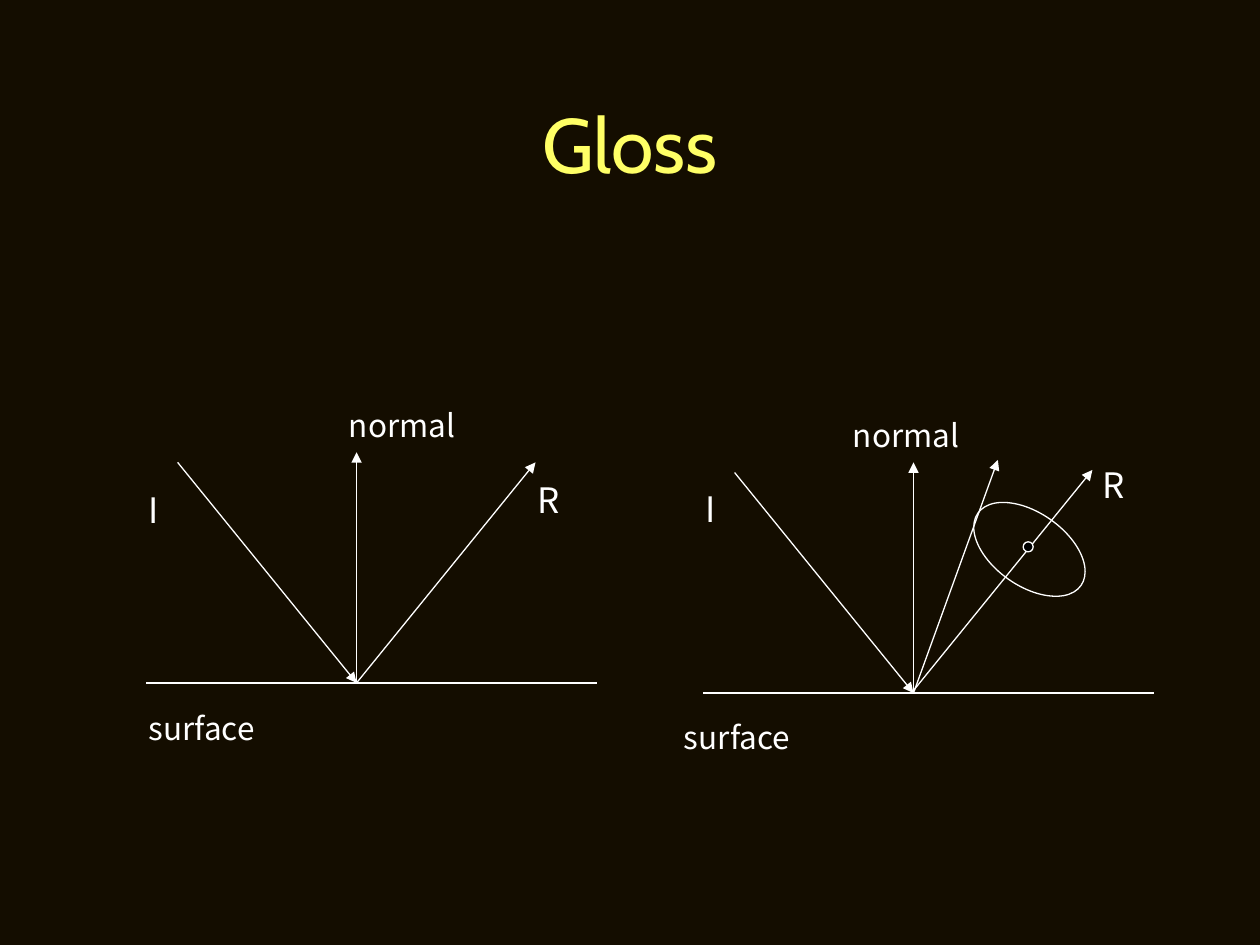
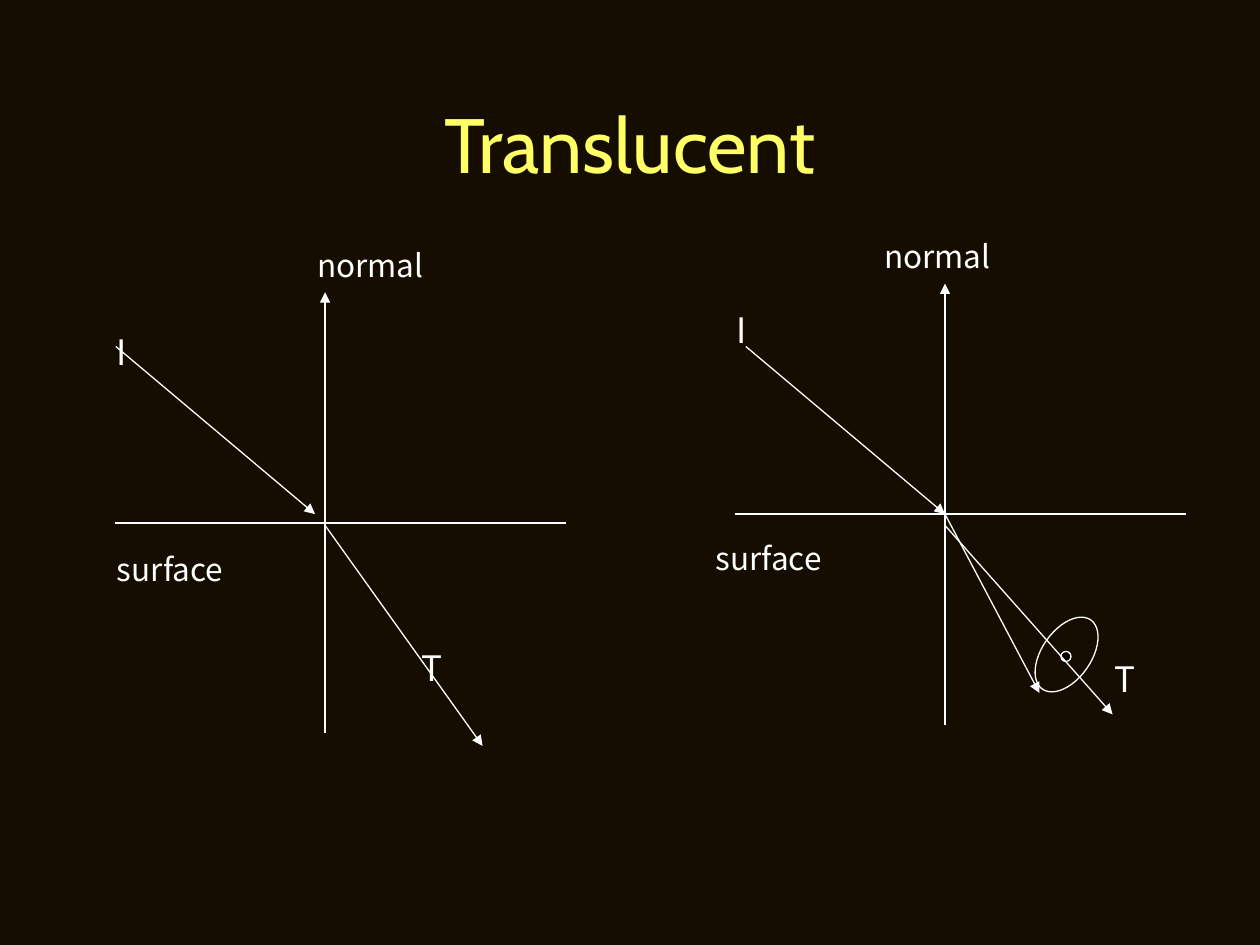
from pptx import Presentation
from pptx.dml.color import RGBColor
from pptx.enum.shapes import MSO_CONNECTOR, MSO_SHAPE
from pptx.enum.text import MSO_ANCHOR, MSO_AUTO_SIZE, PP_ALIGN
from pptx.oxml.ns import qn
from pptx.util import Inches, Pt
from lxml import etree

STRAIGHT = MSO_CONNECTOR.STRAIGHT
OVAL = MSO_SHAPE.OVAL
MIDDLE = MSO_ANCHOR.MIDDLE
CENTER = PP_ALIGN.CENTER
GROW = MSO_AUTO_SIZE.SHAPE_TO_FIT_TEXT

BACKGROUND = RGBColor(0x14, 0x0D, 0x00)
YELLOW = RGBColor(0xFF, 0xFF, 0x66)
WHITE = RGBColor(0xFF, 0xFF, 0xFF)
BLACK = RGBColor(0x00, 0x00, 0x00)

TITLE_FONT = "Cabin"
LABEL_FONT = "Noto Sans CJK KR"
LINE_WIDTH = Pt(0.75)
TITLE_ONLY = 5

SURFACE_LEFT = 1.67
SURFACE_WIDTH = 3.58
NORMAL_HEIGHT = 1.83
LOBE_TILT = 35
DOT_SIZE = 0.08
WORD_SIZES = {"surface": (1.25, 0.4, 18), "normal": (1.08, 0.4, 18)}
LETTER_SIZE = (0.58, 0.44, 20)


def style_font(font, name, size, color):
    font.name = name
    font.size = Pt(size)
    font.color.rgb = color


def add_titled_slide(prs, title):
    slide = prs.slides.add_slide(prs.slide_layouts[TITLE_ONLY])
    heading = slide.shapes.title
    heading.left, heading.top = Inches(0.75), Inches(0.67)
    heading.width, heading.height = Inches(8.5), Inches(0.92)
    frame = heading.text_frame
    frame.text = title
    frame.vertical_anchor = MIDDLE
    frame.paragraphs[0].alignment = CENTER
    style_font(frame.paragraphs[0].runs[0].font, TITLE_FONT, 44, YELLOW)
    return slide


def add_line(slide, start, end):
    line = slide.shapes.add_connector(STRAIGHT, *map(Inches, start + end))
    line.line.color.rgb = WHITE
    line.line.width = LINE_WIDTH
    etree.SubElement(line._element.spPr, qn("a:effectLst"))
    return line


def add_ray(slide, start, end):
    ray = add_line(slide, start, end)
    outline = ray._element.spPr.find(qn("a:ln"))
    etree.SubElement(outline, qn("a:tailEnd"), type="triangle")


def add_label(slide, text, left, top):
    width, height, size = WORD_SIZES.get(text, LETTER_SIZE)
    label = slide.shapes.add_textbox(*map(Inches, (left, top, width, height)))
    frame = label.text_frame
    frame.word_wrap = True
    frame.auto_size = GROW
    frame.text = text
    style_font(frame.paragraphs[0].runs[0].font, LABEL_FONT, size, WHITE)


def add_ellipse(slide, left, top, width, height):
    ellipse = slide.shapes.add_shape(OVAL, *map(Inches, (left, top, width, height)))
    ellipse.shadow.inherit = False
    ellipse.line.color.rgb = WHITE
    ellipse.line.width = LINE_WIDTH
    return ellipse


def add_lobe(slide, left, top, width, height):
    lobe = add_ellipse(slide, left, top, width, height)
    lobe.fill.background()
    lobe.rotation = LOBE_TILT


def add_dot(slide, left, top):
    dot = add_ellipse(slide, left, top, DOT_SIZE, DOT_SIZE)
    dot.fill.solid()
    dot.fill.fore_color.rgb = BLACK


def add_axes(slide, hit, depth=0):
    x, y = hit
    left = x - SURFACE_LEFT
    add_line(slide, (left, y), (left + SURFACE_WIDTH, y))
    add_ray(slide, (x, y + depth), (x, y - NORMAL_HEIGHT))


def add_labels(slide, labels):
    for text, left, top in labels:
        add_label(slide, text, left, top)


def add_gloss(prs):
    slide = add_titled_slide(prs, "Gloss")
    mirror_hit, glossy_hit = (2.83, 5.42), (7.25, 5.5)
    for hit in (mirror_hit, glossy_hit):
        add_axes(slide, hit)
        add_ray(slide, (hit[0] - 1.42, hit[1] - 1.75), hit)
    add_ray(slide, mirror_hit, (4.25, 3.67))
    add_ray(slide, glossy_hit, (7.92, 3.65))
    add_ray(slide, (7.25, 5.48), (8.67, 3.73))
    add_lobe(slide, 7.67, 4.07, 1, 0.58)
    add_dot(slide, 8.12, 4.3)
    add_labels(slide, [
        ("surface", 1.08, 5.58), ("normal", 2.67, 3.17),
        ("I", 1.08, 3.83), ("R", 4.17, 3.75),
        ("surface", 5.33, 5.65), ("normal", 6.67, 3.25),
        ("I", 5.5, 3.82), ("R", 8.65, 3.63),
    ])


def add_translucent(prs):
    slide = add_titled_slide(prs, "Translucent")
    clear_hit, diffuse_hit = (2.58, 4.15), (7.5, 4.08)
    for hit in (clear_hit, diffuse_hit):
        add_axes(slide, hit, depth=1.67)
    add_ray(slide, (0.92, 2.75), (2.5, 4.08))
    add_ray(slide, (2.58, 4.17), (3.83, 5.92))
    add_ray(slide, (5.92, 2.75), diffuse_hit)
    add_ray(slide, diffuse_hit, (8.25, 5.5))
    add_dot(slide, 8.42, 5.17)
    add_ray(slide, (7.5, 4.17), (8.83, 5.67))
    add_lobe(slide, 8.27, 4.86, 0.39, 0.67)
    add_labels(slide, [
        ("surface", 0.83, 4.32), ("normal", 2.42, 1.9),
        ("I", 0.83, 2.57), ("T", 3.25, 5.08),
        ("surface", 5.58, 4.23), ("normal", 6.92, 1.83),
        ("I", 5.75, 2.4), ("T", 8.75, 5.17),
    ])


def main():
    prs = Presentation()
    prs.slide_width, prs.slide_height = Inches(10), Inches(7.5)
    backdrop = prs.slide_master.background.fill
    backdrop.solid()
    backdrop.fore_color.rgb = BACKGROUND
    add_gloss(prs)
    add_translucent(prs)
    prs.save("out.pptx")


if __name__ == "__main__":
    main()
